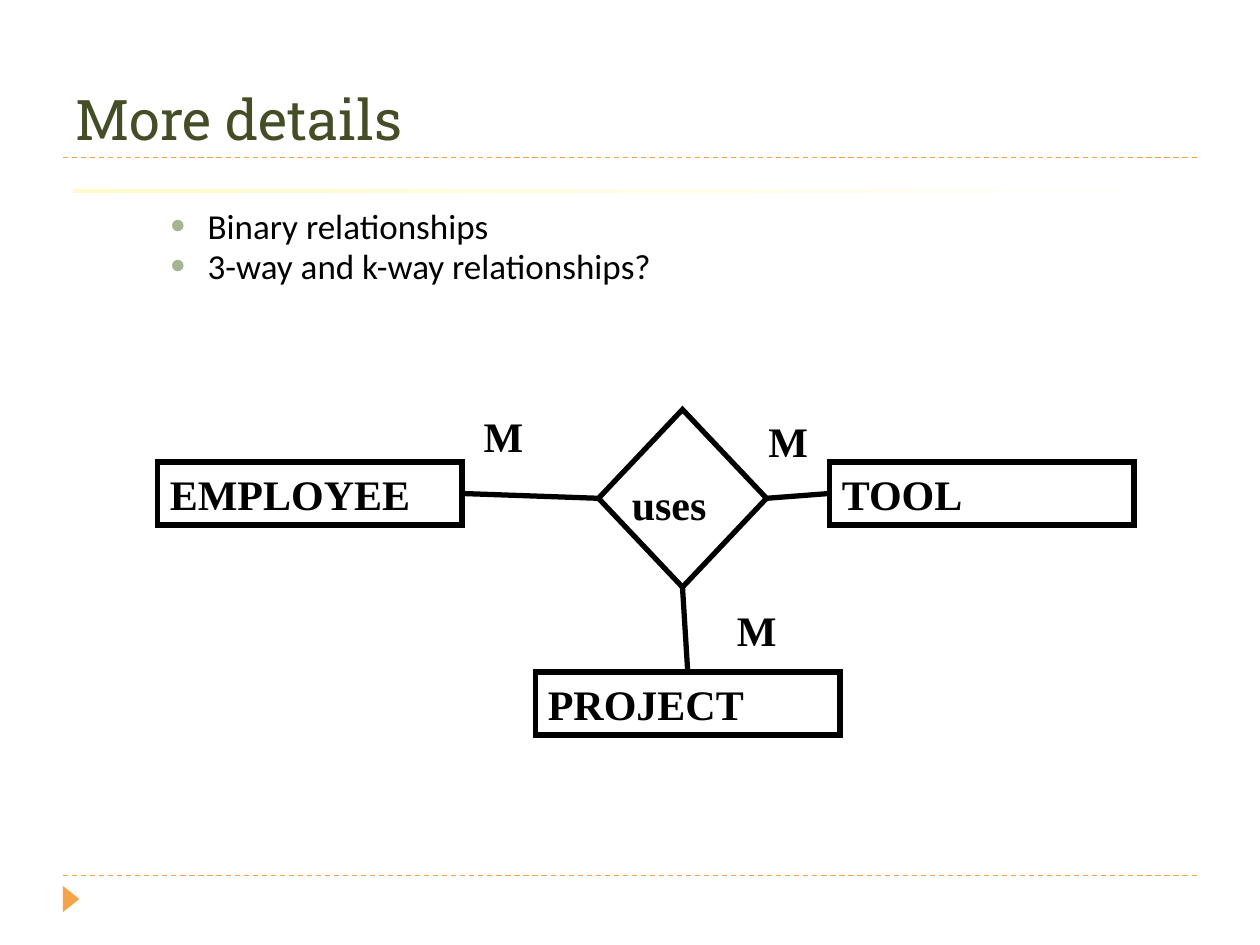
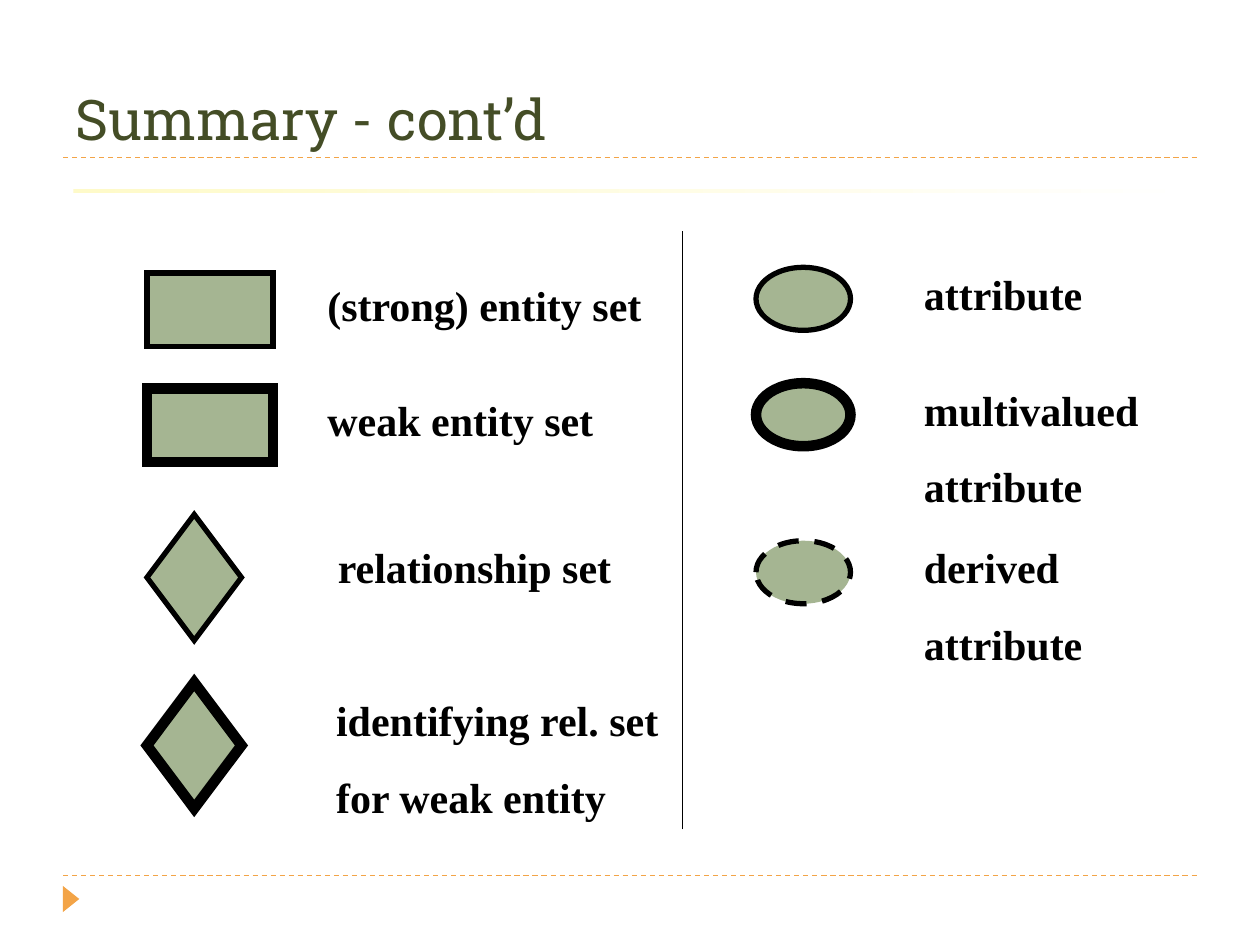
import pptx
import pptx.util
import pptx.dml.color
import pptx.enum.dml
import pptx.enum.shapes
import pptx.enum.text
import pptx.oxml.ns
import lxml.etree
import dataclasses

Pt = pptx.util.Pt
SHAPE = pptx.enum.shapes.MSO_SHAPE
DASH = pptx.enum.dml.MSO_LINE.DASH
TOP, LEFT, BOTTOM, RIGHT = range(4)


@dataclasses.dataclass(frozen=True)
class Theme:
    ink: str = "000000"
    title: str = "444D26"
    accent: str = "F3A447"
    sage: str = "A5B592"
    band: tuple = ("FEFAC9", "FFFFFF")
    title_size: float = 32
    body_size: float = 20
    label_size: float = 24
    label_gap: float = 15
    rule: float = 0.75
    thin: float = 3
    thick: float = 6


THEME = Theme()
TITLE = dict(name="Roboto Slab", size=Pt(THEME.title_size), bold=False)
BODY = dict(name="Calibri", size=Pt(THEME.body_size), bold=False)
LABEL = dict(name="Times New Roman", size=Pt(THEME.label_size), bold=True)


def rgb(value):
    return pptx.dml.color.RGBColor.from_string(value)


def points(values):
    return [Pt(value) for value in values]


def apply(target, formats):
    for name, value in formats.items():
        setattr(target, name, value)


def add_xml(parent, tag, **attributes):
    return lxml.etree.SubElement(parent, pptx.oxml.ns.qn(tag), attributes)


def style_line(line, color, width, dash=None):
    line.color.rgb = rgb(color)
    line.width = Pt(width)
    if dash:
        line.dash_style = dash


def draw_shape(shapes, kind, box, fill=None, width=None, dash=None):
    shape = shapes.add_shape(kind, *points(box))
    shape.shadow.inherit = False
    if fill:
        shape.fill.solid()
        shape.fill.fore_color.rgb = rgb(fill)
    else:
        shape.fill.background()
    if width:
        style_line(shape.line, THEME.ink, width, dash)
        add_xml(shape.line._get_or_add_ln(), "a:miter", lim="800000")
    else:
        shape.line.fill.background()
    return shape


def draw_line(shapes, start, end, color, width, dash=None):
    line = shapes.add_connector(
        pptx.enum.shapes.MSO_CONNECTOR.STRAIGHT, *points(start + end))
    style_line(line.line, color, width, dash)
    add_xml(line._element.spPr, "a:effectLst")
    return line


def write(frame, lines, font, color, paragraph_formats, **frame_formats):
    settings = dict(word_wrap=True,
                    vertical_anchor=pptx.enum.text.MSO_ANCHOR.TOP)
    apply(frame, settings | frame_formats)
    for index, line in enumerate(lines):
        paragraph = frame.add_paragraph() if index else frame.paragraphs[0]
        paragraph.alignment = pptx.enum.text.PP_ALIGN.LEFT
        apply(paragraph, paragraph_formats)
        run = paragraph.add_run()
        run.text = line
        apply(run.font, font)
        run.font.color.rgb = rgb(color)


def write_label(frame, *lines, wrap=False):
    write(frame, lines, LABEL, THEME.ink,
          dict(space_before=Pt(THEME.label_gap)), word_wrap=wrap,
          auto_size=pptx.enum.text.MSO_AUTO_SIZE.SHAPE_TO_FIT_TEXT)


def add_label(shapes, box, *lines, wrap=False):
    write_label(shapes.add_textbox(*points(box)).text_frame, *lines, wrap=wrap)


def draw_frame(slide, box, title):
    """Title, dashed rules, fading band and footer marker."""
    left, top, width, height = box
    shapes = slide.shapes
    for y in (top + height - 27.6, top + 78):
        draw_line(shapes, (left, y), (left + width, y),
                  THEME.accent, THEME.rule, DASH)
    marker = draw_shape(shapes, SHAPE.ISOSCELES_TRIANGLE,
                        (left - 2.9, top + height - 19, 15, 9.4), THEME.accent)
    marker.rotation = 90

    band = draw_shape(shapes, SHAPE.RECTANGLE, (left + 6, top + 96, width, 2.2))
    band.fill.gradient()
    band.fill.gradient_angle = 0
    for stop, color in zip(band.fill.gradient_stops, THEME.band):
        stop.color.rgb = rgb(color)

    heading = shapes.add_textbox(*points((left, top, width, 78)))
    write(heading.text_frame, [title], TITLE, THEME.title, {},
          vertical_anchor=pptx.enum.text.MSO_ANCHOR.BOTTOM)


def draw_bullets(slide, box, lines):
    frame = slide.shapes.add_textbox(*points(box)).text_frame
    write(frame, lines, BODY, THEME.ink,
          dict(line_spacing=0.7, space_before=Pt(5.8)))
    for paragraph in frame.paragraphs:
        properties = paragraph._p.get_or_add_pPr()
        for name, value in dict(marL=21.6, indent=-21.6).items():
            properties.set(name, str(int(Pt(value))))
        color = add_xml(properties, "a:buClr")
        add_xml(color, "a:srgbClr", val=THEME.sage)
        add_xml(properties, "a:buSzPct", val="76000")
        add_xml(properties, "a:buFont", typeface=LABEL["name"])
        add_xml(properties, "a:buChar", char="●")


def draw_uses_diagram(slide, box):
    """Three entities joined by the ternary relationship "uses"."""
    left, top = box[:2]
    shapes = slide.shapes

    def entity(name, x, y):
        rectangle = draw_shape(shapes, SHAPE.RECTANGLE,
                               (left + x, top + y, 174, 36), width=THEME.thin)
        write_label(rectangle.text_frame, name, wrap=True)
        return rectangle

    employee = entity("EMPLOYEE", 0, 30)
    project = entity("PROJECT", 216, 150)
    tool = entity("TOOL", 384, 30)

    uses = draw_shape(shapes, SHAPE.DIAMOND,
                      (left + 252, top, 96, 101.5), width=THEME.thin)
    add_label(shapes, (left + 264, top + 36, 61, 36), "uses", wrap=True)

    for start, start_side, end, end_side in (
            (employee, RIGHT, uses, LEFT),
            (uses, BOTTOM, project, TOP),
            (uses, RIGHT, tool, LEFT)):
        link = draw_line(shapes, (left, top), (left, top),
                         THEME.ink, THEME.thin)
        link.begin_connect(start, start_side)
        link.end_connect(end, end_side)

    for x, y in ((179.3, -3), (342, 0), (324, 108)):
        add_label(shapes, (left + x, top + y, 36.7, 36), "M")


def draw_legend(slide, box, entries):
    """Each entry: kind, symbol box, line, dash, label box, lines, grouped."""
    left, top = box[:2]

    def place(part):
        return (left + part[0], top + part[1], *part[2:])

    for kind, symbol, width, dash, label, lines, grouped in entries:
        shapes = slide.shapes
        if grouped:
            shapes = shapes.add_group_shape().shapes
        draw_shape(shapes, kind, place(symbol), THEME.sage, width, dash)
        add_label(shapes, place(label), *lines)


ENTITY_LEGEND = (
    (SHAPE.RECTANGLE, (0, 24, 72, 42), THEME.thin, None,
     (96, 24, 196, 36), ["(strong) entity set"], True),
    (SHAPE.RECTANGLE, (0, 90, 72, 42), THEME.thick, None,
     (96, 90, 168, 36), ["weak entity set"], True),
    (SHAPE.DIAMOND, (0, 162, 54, 72), THEME.thin, None,
     (102, 174, 172, 36), ["relationship set"], True),
    (SHAPE.DIAMOND, (0, 258, 54, 72), THEME.thick, None,
     (101, 261.4, 200, 80), ["identifying rel. set", "for weak entity"],
     True),
)
ATTRIBUTE_LEGEND = (
    (SHAPE.OVAL, (0, 20.8, 54, 36), THEME.thin, None,
     (88.8, 18, 107, 36), ["attribute"], True),
    (SHAPE.OVAL, (0, 87, 54, 36), THEME.thick, None,
     (88.8, 84, 140, 80), ["multivalued", "attribute"], False),
    (SHAPE.OVAL, (0, 177, 54, 36), THEME.thin, DASH,
     (88.8, 174, 107, 80), ["derived", "attribute"], False),
)


def main():
    deck = pptx.Presentation()
    apply(deck, dict(slide_width=Pt(720), slide_height=Pt(540)))
    blank = deck.slide_layouts[6]
    frame_box = (36, 12, 648, 516)

    # Ternary relationship
    details = deck.slides.add_slide(blank)
    draw_frame(details, frame_box, "More details")
    draw_bullets(details, (90, 120, 606, 48),
                 ["Binary relationships", "3-way and k-way relationships?"])
    draw_uses_diagram(details, (90, 234, 558, 186))

    # Symbol legend in two columns
    summary = deck.slides.add_slide(blank)
    draw_frame(summary, frame_box, "Summary - cont’d")
    draw_legend(summary, (84, 132, 306, 342), ENTITY_LEGEND)
    draw_legend(summary, (432, 132, 229, 342), ATTRIBUTE_LEGEND)
    draw_line(summary.shapes, (390, 474), (390, 132), THEME.ink, 1)

    deck.save("out.pptx")


if __name__ == "__main__":
    main()
